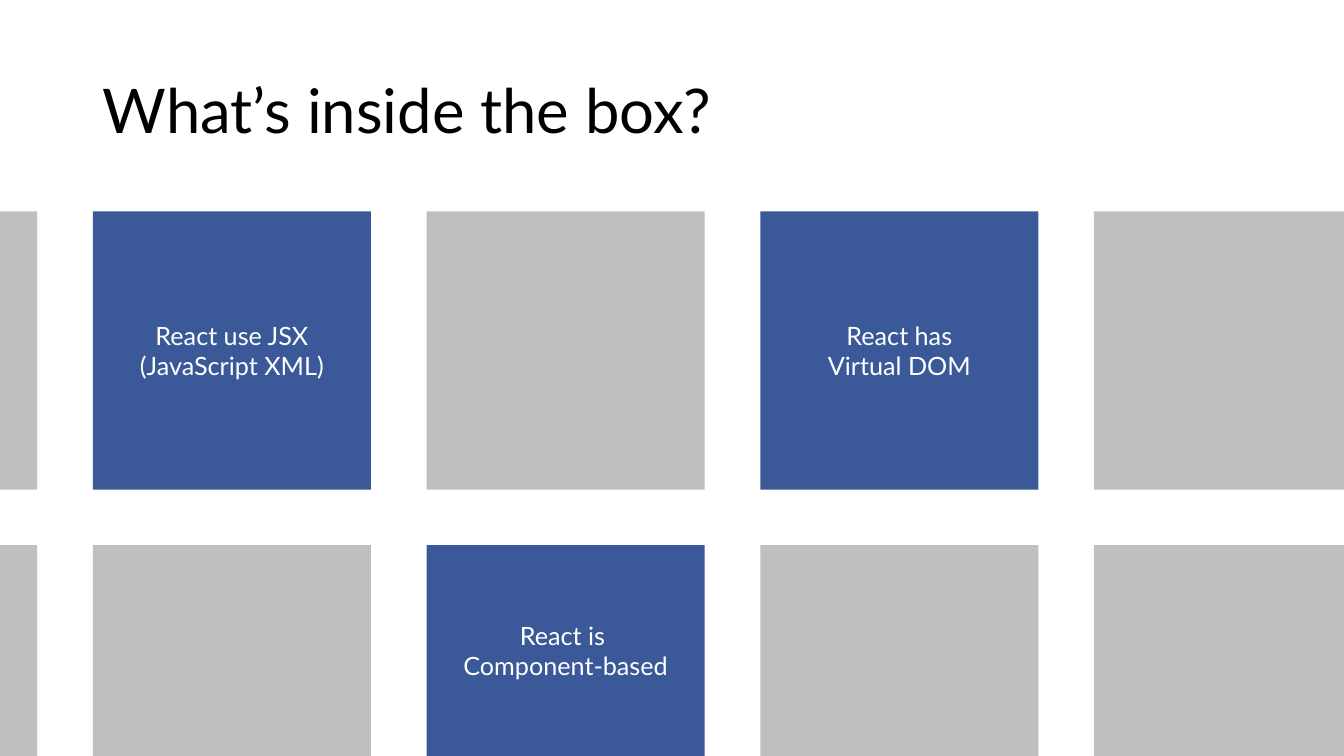
import pptx
import pptx.dml.color
import pptx.enum.shapes
import pptx.enum.text
import pptx.util

Cm = pptx.util.Cm
RGBColor = pptx.dml.color.RGBColor
Align = pptx.enum.text.PP_ALIGN

TITLE = "What’s inside the box?"
BOX_ROWS = [
    [[], ["React use JSX (JavaScript XML)"], [], ["React has", "Virtual DOM"], []],
    [[], [], ["React is ", "Component-based"], [], []],
]

BLUE = RGBColor(0x3B, 0x59, 0x98)
GREY = RGBColor(0xBF, 0xBF, 0xBF)
WHITE = RGBColor(0xFF, 0xFF, 0xFF)
BLACK = RGBColor(0, 0, 0)

SLIDE_WIDTH, SLIDE_HEIGHT = 33.87, 19.05
MARGIN = 2.34
GRID_TOP = 5.33
BOX_SIZE = 7.01
PITCH = 8.41

TITLE_FORMAT = {"alignment": Align.LEFT, "line_spacing": 0.9}
TITLE_FONT = {"name": "Lato", "size": pptx.util.Pt(44)}
BOX_FORMAT = {"alignment": Align.CENTER}
BOX_FONT = {"name": "Lato", "size": pptx.util.Pt(18)}


def set_attributes(target, values):
    for name, value in values.items():
        setattr(target, name, value)


def write_text(shape, lines, paragraph_format, font_format, color):
    frame = shape.text_frame
    frame.word_wrap = True
    frame.vertical_anchor = pptx.enum.text.MSO_ANCHOR.MIDDLE
    frame.text = "\n".join(lines)
    for paragraph in frame.paragraphs:
        set_attributes(paragraph, paragraph_format)
        for run in paragraph.runs:
            set_attributes(run.font, font_format)
            run.font.color.rgb = color


def add_box(slide, row, column, lines):
    left = MARGIN + (column - 1) * PITCH
    top = GRID_TOP + row * PITCH
    right = min(left + BOX_SIZE, SLIDE_WIDTH)
    bottom = min(top + BOX_SIZE, SLIDE_HEIGHT)
    left = max(left, 0)
    box = slide.shapes.add_shape(
        pptx.enum.shapes.MSO_SHAPE.RECTANGLE,
        Cm(left), Cm(top), Cm(right - left), Cm(bottom - top),
    )
    box.shadow.inherit = False
    box.fill.solid()
    box.fill.fore_color.rgb = BLUE if lines else GREY
    box.line.fill.background()
    if lines:
        write_text(box, lines, BOX_FORMAT, BOX_FONT, WHITE)


def main():
    presentation = pptx.Presentation()
    presentation.slide_width = Cm(SLIDE_WIDTH)
    presentation.slide_height = Cm(SLIDE_HEIGHT)
    slide = presentation.slides.add_slide(presentation.slide_layouts[6])

    title = slide.shapes.add_textbox(
        Cm(MARGIN), Cm(1.02), Cm(SLIDE_WIDTH - 2 * MARGIN), Cm(3.68)
    )
    write_text(title, [TITLE], TITLE_FORMAT, TITLE_FONT, BLACK)

    for row, boxes in enumerate(BOX_ROWS):
        for column, lines in enumerate(boxes):
            add_box(slide, row, column, lines)

    presentation.save("out.pptx")


if __name__ == "__main__":
    main()
